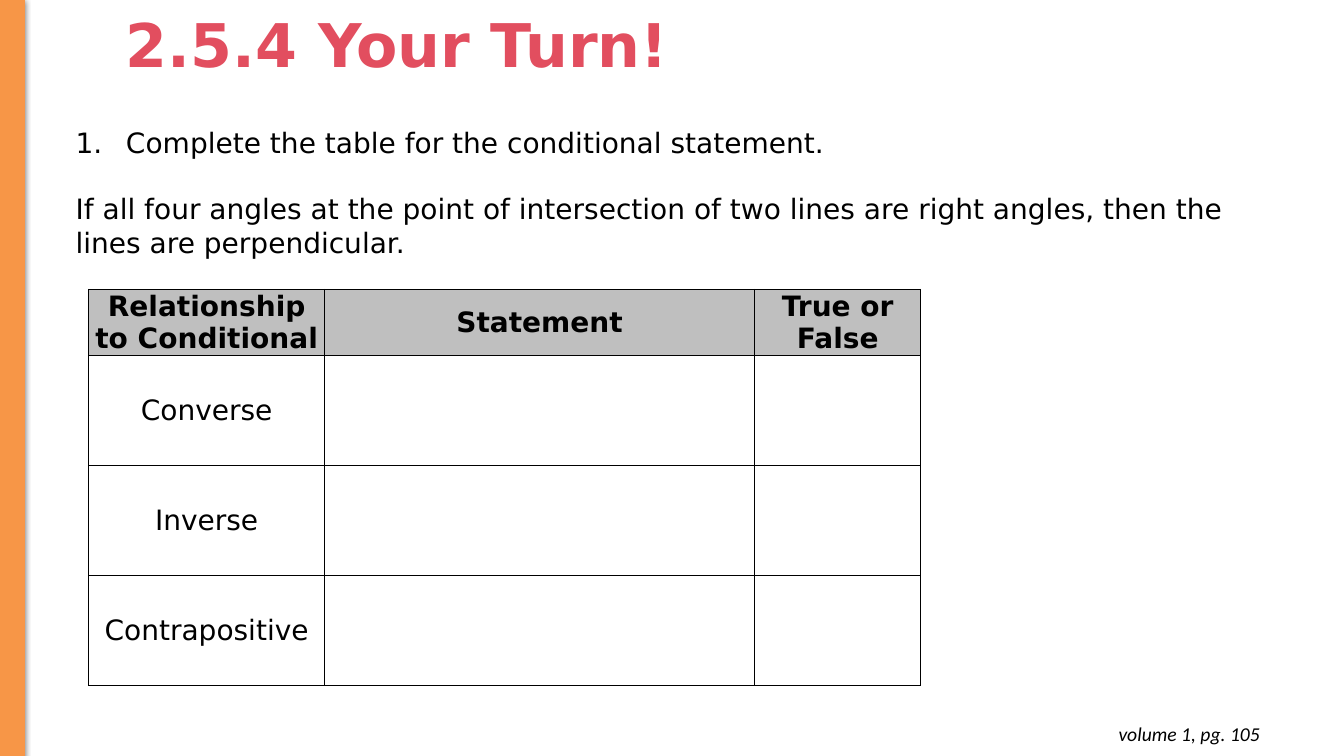
from pptx import Presentation
from pptx.dml.color import RGBColor
from pptx.enum.shapes import MSO_SHAPE as Shape
from pptx.enum.text import MSO_ANCHOR as Anchor, MSO_AUTO_SIZE as Fit, PP_ALIGN as Align
from pptx.oxml import parse_xml
from pptx.oxml.ns import nsdecls
from pptx.util import Pt

SANS = "DejaVu Sans"
BLACK = "000000"
ROWS = [
    ["Relationship to Conditional", "Statement", "True or False"],
    ["Converse", "", ""],
    ["Inverse", "", ""],
    ["Contrapositive", "", ""],
]
WIDTHS = [168.5, 307.2, 118.6]
HEIGHTS = [47.2, 78.5, 78.5, 78.5]


def paint(color, hue):
    """Give a fill, line or font colour its hex value."""
    color.rgb = RGBColor.from_string(hue)


def node(tag, attrs="", inner=""):
    """Make one DrawingML element."""
    return parse_xml(f"<a:{tag} {nsdecls('a')} {attrs}>{inner}</a:{tag}>")


def place(item, left, top, width, height):
    """Set the box of a shape in points."""
    item.left, item.top = Pt(left), Pt(top)
    item.width, item.height = Pt(width), Pt(height)


def frame_up(frame, side, edge, anchor):
    """Set the insets, wrap and anchor of a text frame."""
    frame.word_wrap = True
    frame.auto_size = Fit.NONE
    frame.vertical_anchor = anchor
    frame.margin_left = frame.margin_right = Pt(side)
    frame.margin_top = frame.margin_bottom = Pt(edge)


def add_run(para, text, size=20, name=SANS, hue=BLACK, bold=False, italic=False):
    """Append one formatted run."""
    run = para.add_run()
    run.text = text
    font = run.font
    font.size, font.name = Pt(size), name
    font.bold, font.italic = bold, italic
    paint(font.color, hue)


def add_title(slide):
    """Fill the title placeholder."""
    title = slide.shapes.title
    place(title, 82.8, 5, 631.4, 59)
    frame_up(title.text_frame, 7.2, 3.6, Anchor.MIDDLE)
    para = title.text_frame.paragraphs[0]
    para.alignment = Align.LEFT
    para.line_spacing = 0.9
    add_run(para, "2.5.4 Your Turn!", 43, hue="E24E5F", bold=True)


def add_task(slide):
    """Fill the body placeholder with the numbered task and its statement."""
    body = slide.placeholders[1]
    place(body, 46.8, 85.7, 869, 104.4)
    frame = body.text_frame
    frame_up(frame, 7.2, 3.6, Anchor.TOP)
    task, claim = frame.paragraphs[0], frame.add_paragraph()
    looks = [
        (task, 36, 0, [node("buFont", f'typeface="{SANS}"'),
                       node("buAutoNum", 'type="arabicPeriod"')]),
        (claim, 0, 23.6, [node("buNone")]),
    ]
    for para, hang, gap, marks in looks:
        props = para._p.get_or_add_pPr()
        props.set("marL", str(Pt(hang)))
        props.set("indent", str(-Pt(hang)))
        props.extend(marks)
        para.space_before = Pt(gap)
    add_run(task, "Complete the table for the conditional statement.")
    add_run(claim, "If all four angles at the point of intersection of two lines "
                   "are right angles, then the lines are perpendicular.")


def add_bar(slide):
    """Draw the shadowed bar on the left edge."""
    bar = slide.shapes.add_shape(Shape.RECTANGLE, 0, Pt(-0.5), Pt(17.3), Pt(541))
    bar.fill.solid()
    paint(bar.fill.fore_color, "F79647")
    paint(bar.line.color, "F79647")
    bar.line.width = Pt(0.75)
    bar.shadow.inherit = False
    effect = bar._element.spPr.find(node("effectLst").tag)
    effect.append(node(
        "outerShdw",
        f'blurRad="{Pt(4.5)}" dist="{Pt(1.5)}" dir="5400000" rotWithShape="0"',
        f'<a:srgbClr val="{BLACK}"><a:alpha val="50000"/></a:srgbClr>'))


def set_cell(cell, text, head):
    """Format one table cell and write its text."""
    props = cell._tc.get_or_add_tcPr()
    for side in ("lnL", "lnR", "lnT", "lnB"):
        props.append(node(side, f'w="{Pt(1)}"',
                          f'<a:solidFill><a:srgbClr val="{BLACK}"/></a:solidFill>'))
    if head:
        cell.fill.solid()
        paint(cell.fill.fore_color, "BFBFBF")
    else:
        cell.fill.background()
    cell.margin_left = cell.margin_right = Pt(4.3)
    cell.margin_top = cell.margin_bottom = 0
    cell.vertical_anchor = Anchor.MIDDLE
    para = cell.text_frame.paragraphs[0]
    para.alignment = Align.CENTER
    if text:
        add_run(para, text, bold=head)


def add_grid(slide):
    """Build the table of related conditionals."""
    grid = slide.shapes.add_table(
        len(ROWS), len(WIDTHS), Pt(63.4), Pt(206.8),
        Pt(sum(WIDTHS)), Pt(sum(HEIGHTS))).table
    grid.horz_banding = False
    for col, width in zip(grid.columns, WIDTHS):
        col.width = Pt(width)
    for at, (row, height) in enumerate(zip(grid.rows, HEIGHTS)):
        row.height = Pt(height)
        for cell, text in zip(row.cells, ROWS[at]):
            set_cell(cell, text, at == 0)


def add_note(slide):
    """Write the page note in the lower right corner."""
    box = slide.shapes.add_textbox(Pt(699.8), Pt(508.3), Pt(207.4), Pt(31.7))
    frame_up(box.text_frame, 7.2, 7.2, Anchor.TOP)
    para = box.text_frame.paragraphs[0]
    para.alignment = Align.RIGHT
    add_run(para, "volume 1, pg. 105", 14, "Calibri", italic=True)


def main():
    """Build and save the slide."""
    deck = Presentation()
    deck.slide_width, deck.slide_height = Pt(960), Pt(540)
    slide = deck.slides.add_slide(deck.slide_layouts[1])
    add_title(slide)
    add_task(slide)
    add_bar(slide)
    add_grid(slide)
    add_note(slide)
    deck.save("out.pptx")


if __name__ == "__main__":
    main()
